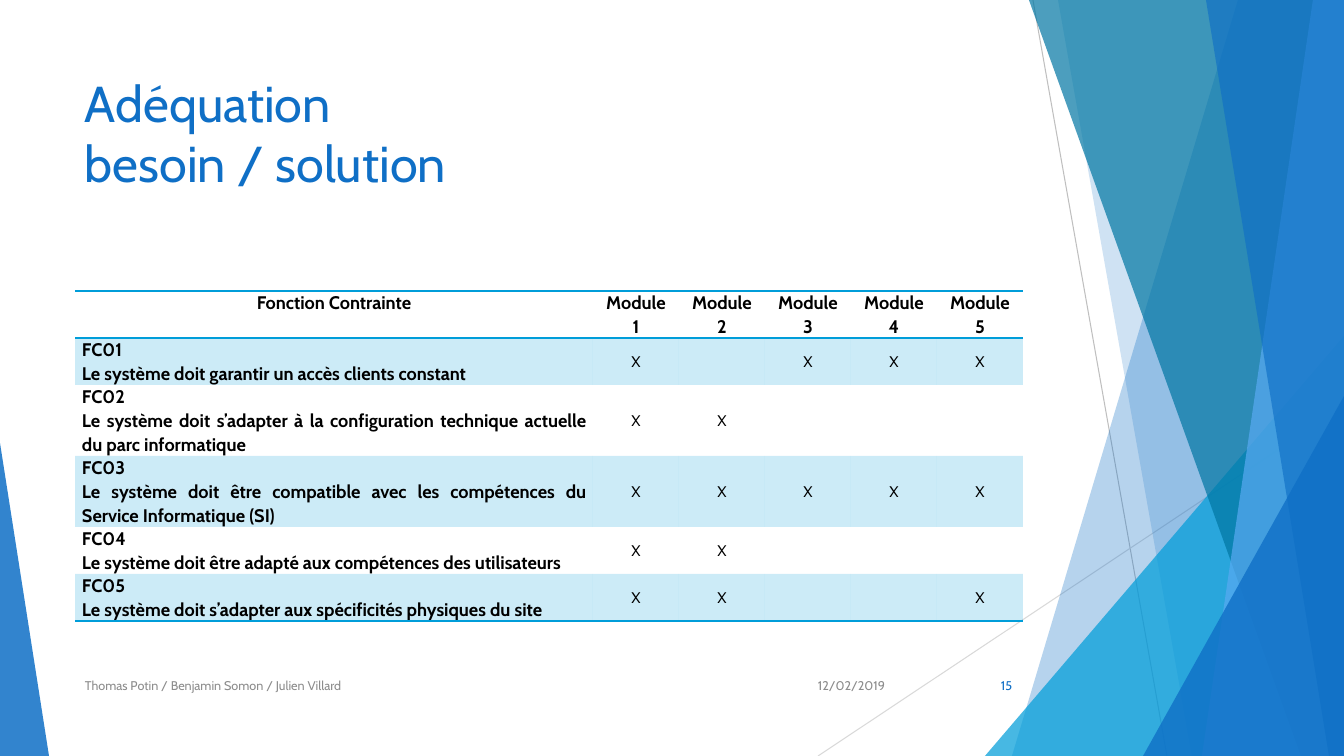
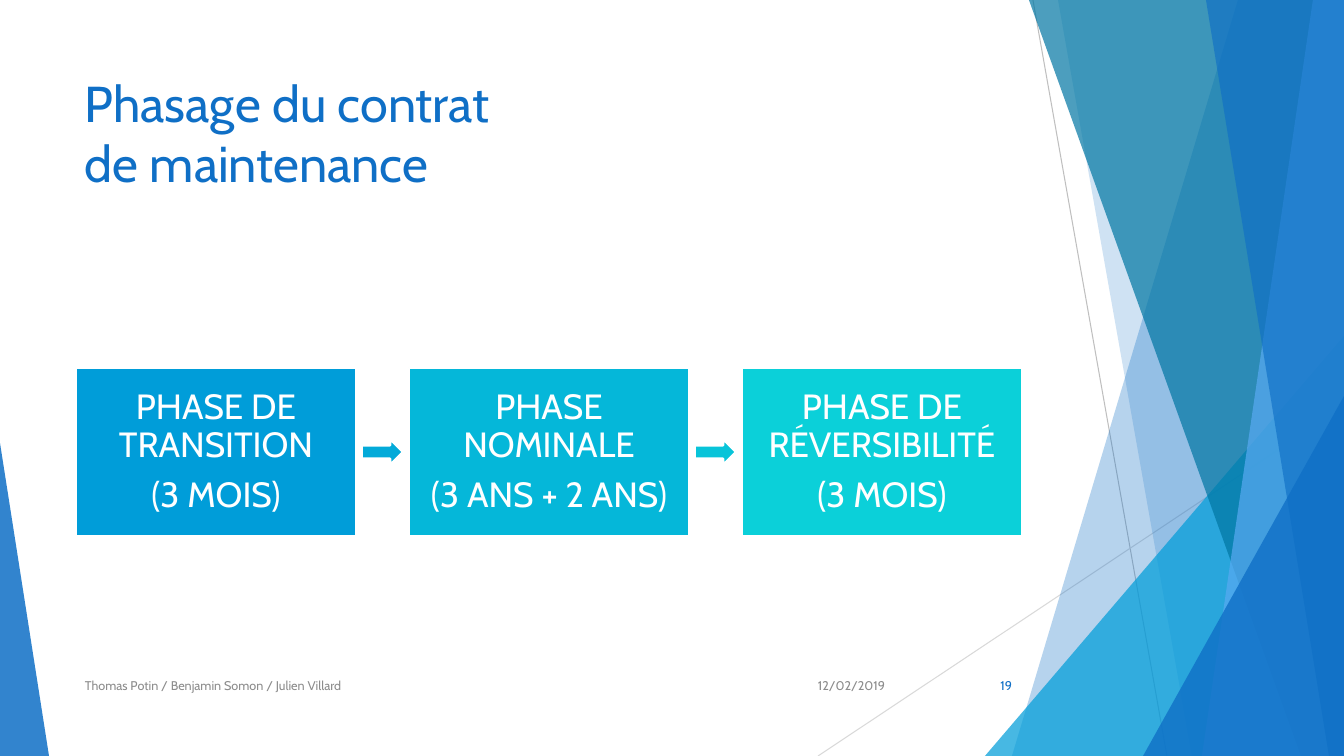
"""Builds two slides on a maintenance contract: a needs table and a phase chain."""
from lxml import etree
from pptx import Presentation
from pptx import util as u
from pptx.dml.color import RGBColor
from pptx.enum import shapes, text
from pptx.oxml.ns import qn

PX = 914400 / 100.8
WIDTH, HEIGHT = 1344, 756
FONT = "Cabin"
BLUE, CYAN, TEAL, SKY = "0F6FC6", "009DD9", "0076A3", "59AAF2"
GREY, BLACK, WHITE = "8C8C8C", "000000", "FFFFFF"
NO_GRID_STYLE = "{2D5ABB26-0587-4C30-8999-92F81FD0307C}"
LEFT, CENTER, RIGHT, JUSTIFY = (text.PP_ALIGN.LEFT, text.PP_ALIGN.CENTER,
                                text.PP_ALIGN.RIGHT, text.PP_ALIGN.JUSTIFY)
TOP, MIDDLE = text.MSO_ANCHOR.TOP, text.MSO_ANCHOR.MIDDLE

HAIRLINES = [((1033, 0), (1167, 756), "BFBFBF"), ((1344, 406), (818, 756), "D9D9D9")]
FACETS = [
    ("band", (1238, 1012), BLUE, 30),
    ("band", (1058, 1192), BLUE, 20),
    ("triangle", (985, 336, 359, 420, 1), CYAN, 72),
    ("band", (1029, 1301), TEAL, 70),
    ("band", (1313, 1202), SKY, 70),
    ("band", (1206, 1329), BLUE, 65),
    ("triangle", (1143, 396, 201, 360, 1), BLUE, 80),
    ("triangle", (0, 443, 49, 313, 0), BLUE, 85),
]
AUTHORS, DATE = "Thomas Potin / Benjamin Somon / Julien Villard", "12/02/2019"

NEEDS_TITLE = ["Adéquation", "besoin / solution"]
MODULES = [1, 2, 3, 4, 5]
NEEDS = [
    ("FC01", "Le système doit garantir un accès clients constant", {1, 3, 4, 5}),
    ("FC02", "Le système doit s’adapter à la configuration technique actuelle "
             "du parc informatique", {1, 2}),
    ("FC03", "Le système doit être compatible avec les compétences du "
             "Service Informatique (SI)", {1, 2, 3, 4, 5}),
    ("FC04", "Le système doit être adapté aux compétences des utilisateurs", {1, 2}),
    ("FC05", "Le système doit s’adapter aux spécificités physiques du site", {1, 2, 5}),
]
COLUMN_WIDTHS = [518] + [86] * len(MODULES)
ROW_HEIGHTS = [47, 47, 71, 71, 47, 47]

PHASES_TITLE = ["Phasage du contrat", "de maintenance"]
PHASES = [
    (["PHASE DE TRANSITION", "(3 MOIS)"], CYAN),
    (["PHASE NOMINALE", "(3 ANS + 2 ANS)"], "05B7D9"),
    (["PHASE DE RÉVERSIBILITÉ", "(3 MOIS)"], "0BD0D9"),
]
ARROW_COLORS = ["03AAD9", "08C4D9"]


def px(*lengths):
    return [u.Emu(round(length * PX)) for length in lengths]


def rgb(code):
    return RGBColor.from_string(code)


def paint(fill, code, parent=None, opacity=100):
    fill.solid()
    fill.fore_color.rgb = rgb(code)
    if opacity < 100:
        color = next(parent.iter(qn("a:srgbClr")))
        etree.SubElement(color, qn("a:alpha"), val=str(opacity * 1000))


def write(frame, lines, size, color, align=LEFT, anchor=TOP, bold=False,
          spacing=None, after=0):
    frame.word_wrap = True
    frame.vertical_anchor = anchor
    frame.text = "\n".join(lines)
    for paragraph in frame.paragraphs:
        paragraph.alignment = align
        paragraph.line_spacing = spacing
        paragraph.space_after = u.Pt(after)
        font = paragraph.font
        font.name, font.size, font.bold = FONT, u.Pt(size), bold
        font.color.rgb = rgb(color)


def add_text(slide, box, lines, size, color, **style):
    write(slide.shapes.add_textbox(*px(*box)).text_frame, lines, size, color, **style)


def add_hairline(slide, start, end, color):
    line = slide.shapes.add_connector(shapes.MSO_CONNECTOR.STRAIGHT, *px(*start, *end))
    line.line.color.rgb = rgb(color)
    line.line.width = u.Pt(0.75)
    etree.SubElement(line.element.spPr, qn("a:effectLst"))


def add_facet(slide, kind, geometry, color, opacity):
    if kind == "band":
        top, bottom = geometry
        builder = slide.shapes.build_freeform(top, 0, scale=PX)
        builder.add_line_segments([(WIDTH, 0), (WIDTH, HEIGHT), (bottom, HEIGHT)])
        shape = builder.convert_to_shape()
    else:
        *box, apex = geometry
        shape = slide.shapes.add_shape(shapes.MSO_SHAPE.ISOSCELES_TRIANGLE, *px(*box))
        shape.adjustments[0] = apex
    shape.shadow.inherit = False
    shape.line.fill.background()
    paint(shape.fill, color, shape.element.spPr, opacity)


def add_base(presentation, title, number):
    slide = presentation.slides.add_slide(presentation.slide_layouts[6])
    for hairline in HAIRLINES:
        add_hairline(slide, *hairline)
    for facet in FACETS:
        add_facet(slide, *facet)
    add_text(slide, (75, 67, 948, 145), title, 36, BLUE)
    for left, width, label, color, align in [
        (75, 694, AUTHORS, GREY, LEFT),
        (794, 101, DATE, GREY, RIGHT),
        (947, 75, str(number), BLUE, RIGHT),
    ]:
        add_text(slide, (left, 666, width, 40), [label], 9, color,
                 align=align, anchor=MIDDLE, after=6)
    return slide


def add_borders(cell, sides):
    properties = cell._tc.get_or_add_tcPr()
    for index, side in enumerate(sides):
        line = etree.Element(qn(f"a:ln{side}"), w=str(u.Pt(1)))
        fill = etree.SubElement(line, qn("a:solidFill"))
        etree.SubElement(fill, qn("a:srgbClr"), val=CYAN)
        properties.insert(index, line)


def fill_cell(cell, lines, size, align, anchor, bold):
    cell.margin_left = cell.margin_right = px(7)[0]
    cell.margin_top = cell.margin_bottom = 0
    write(cell.text_frame, lines, size, BLACK, align=align, bold=bold, spacing=1.07)
    cell.vertical_anchor = anchor


def add_needs_table(slide):
    frame = slide.shapes.add_table(
        len(ROW_HEIGHTS), len(COLUMN_WIDTHS),
        *px(75, 291, sum(COLUMN_WIDTHS), sum(ROW_HEIGHTS)))
    table = frame.table
    table.first_row = table.horz_banding = False
    next(frame.element.iter(qn("a:tableStyleId"))).text = NO_GRID_STYLE
    for column, width in zip(table.columns, px(*COLUMN_WIDTHS)):
        column.width = width
    for row, height in zip(table.rows, px(*ROW_HEIGHTS)):
        row.height = height

    headers = [["Fonction Contrainte"]] + [["Module", str(module)] for module in MODULES]
    for column, lines in enumerate(headers):
        fill_cell(table.cell(0, column), lines, 13, CENTER, TOP, True)
    for row, (code, need, covered) in enumerate(NEEDS, 1):
        fill_cell(table.cell(row, 0), [code, need], 13, JUSTIFY, TOP, True)
        for module in MODULES:
            mark = "X" if module in covered else ""
            fill_cell(table.cell(row, module), [mark], 11, CENTER, MIDDLE, False)

    for row in range(len(ROW_HEIGHTS)):
        sides = {0: "TB", len(NEEDS): "B"}.get(row, "")
        for column in range(len(COLUMN_WIDTHS)):
            cell = table.cell(row, column)
            if row % 2:
                paint(cell.fill, CYAN, cell._tc.get_or_add_tcPr(), 20)
            else:
                cell.fill.background()
            add_borders(cell, sides)


def add_block(slide, kind, box, color):
    shape = slide.shapes.add_shape(kind, *px(*box))
    shape.shadow.inherit = False
    paint(shape.fill, color)
    shape.line.color.rgb = rgb(WHITE)
    shape.line.width = u.Pt(2)
    return shape


def add_phase_chain(slide):
    left, top, width, height, step = 76, 368, 280, 168, 333
    arrow_width, arrow_height = 42, 27
    for index, (lines, color) in enumerate(PHASES):
        x = left + index * step
        box = add_block(slide, shapes.MSO_SHAPE.RECTANGLE, (x, top, width, height), color)
        frame = box.text_frame
        frame.margin_left = frame.margin_right = px(17)[0]
        frame.margin_top = frame.margin_bottom = px(17)[0]
        write(frame, lines, 25, WHITE, align=CENTER, anchor=MIDDLE,
              spacing=0.9, after=8.75)
        if index < len(ARROW_COLORS):
            arrow_left = x + (width + step - arrow_width) / 2
            arrow_top = top + (height - arrow_height) / 2
            add_block(slide, shapes.MSO_SHAPE.RIGHT_ARROW,
                      (arrow_left, arrow_top, arrow_width, arrow_height),
                      ARROW_COLORS[index])


def main():
    presentation = Presentation()
    presentation.slide_width, presentation.slide_height = px(WIDTH, HEIGHT)
    add_needs_table(add_base(presentation, NEEDS_TITLE, 15))
    add_phase_chain(add_base(presentation, PHASES_TITLE, 19))
    presentation.save("out.pptx")


if __name__ == "__main__":
    main()
